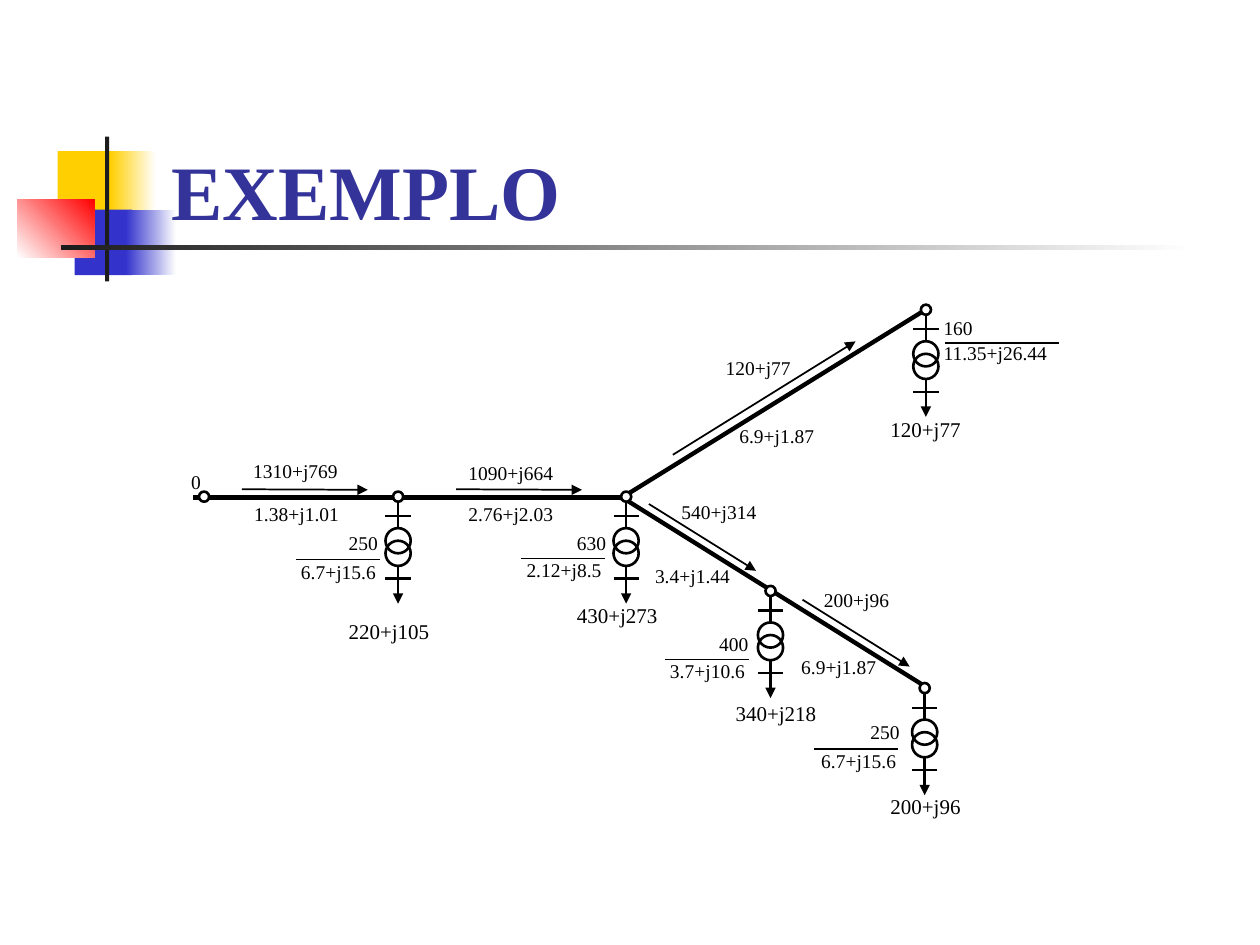
from dataclasses import dataclass

from lxml import etree
from pptx import Presentation
from pptx.dml.color import RGBColor
from pptx.enum import shapes, text
from pptx.oxml import ns
from pptx.util import Pt


@dataclass(frozen=True)
class Theme:
    font: str = "Times New Roman"
    ink: str = "000000"
    paper: str = "FFFFFF"
    title: str = "333399"
    yellow: str = "FFCF01"
    blue: str = "3333CC"
    red: str = "FF0000"
    bar: str = "1C1C1C"
    title_size: float = 44
    label_size: float = 11.1
    load_size: float = 12


theme = Theme()


def add_line(parent, x1, y1, x2, y2, width, arrow=False):
    c = parent.shapes.add_connector(shapes.MSO_CONNECTOR.STRAIGHT, Pt(x1), Pt(y1), Pt(x2), Pt(y2))
    c.line.color.rgb = RGBColor.from_string(theme.ink)
    c.line.width = Pt(width)
    pr = c._element.spPr
    if arrow:
        etree.SubElement(pr.find(ns.qn("a:ln")), ns.qn("a:tailEnd"), type="triangle")
    etree.SubElement(pr, ns.qn("a:effectLst"))


def add_circle(parent, cx, cy, diameter, filled=True):
    sp = parent.shapes.add_shape(shapes.MSO_SHAPE.OVAL, Pt(cx - diameter / 2), Pt(cy - diameter / 2),
                                 Pt(diameter), Pt(diameter))
    sp.shadow.inherit = False
    sp.line.color.rgb = RGBColor.from_string(theme.ink)
    sp.line.width = Pt(1.5)
    if filled:
        sp.fill.solid()
        sp.fill.fore_color.rgb = RGBColor.from_string(theme.paper)
    else:
        sp.fill.background()


prs = Presentation()
prs.slide_width, prs.slide_height = Pt(720), Pt(540)
s = prs.slides.add_slide(prs.slide_layouts[5])

decorations = [
    (33, 86.4, 34.6, 37.4, theme.yellow, theme.yellow, 0),
    (63, 86.4, 26, 37.4, theme.yellow, theme.paper, 0),
    (42.6, 119.8, 33, 37.4, theme.blue, theme.blue, 0),
    (72, 119.8, 28.8, 37.4, theme.blue, theme.paper, 0),
    (10, 113.8, 44, 33.4, theme.paper, theme.red, 45),
    (60, 78, 2.4, 82.8, theme.bar, theme.bar, 0),
    (34.8, 140.2, 648, 2.4, theme.bar, theme.paper, 0),
]
for x, y, w, h, start, end, angle in decorations:
    sp = s.shapes.add_shape(shapes.MSO_SHAPE.RECTANGLE, Pt(x), Pt(y), Pt(w), Pt(h))
    sp.shadow.inherit = False
    sp.line.fill.background()
    if start == end:
        sp.fill.solid()
        sp.fill.fore_color.rgb = RGBColor.from_string(start)
    else:
        sp.fill.gradient()
        sp.fill.gradient_angle = angle
        for stop, color, position in zip(sp.fill.gradient_stops, (start, end), (0, 1)):
            stop.color.rgb = RGBColor.from_string(color)
            stop.position = position

title = s.shapes.title
title.left, title.top, title.width, title.height = Pt(90.7), Pt(48.2), Pt(613.4), Pt(90)
tf = title.text_frame
tf.text = "EXEMPLO"
tf.auto_size = text.MSO_AUTO_SIZE.NONE
tf.vertical_anchor = text.MSO_ANCHOR.BOTTOM
p = tf.paragraphs[0]
p.alignment = text.PP_ALIGN.LEFT
r = p.runs[0]
r.font.name, r.font.size, r.font.bold = theme.font, Pt(theme.title_size), True
r.font.color.rgb = RGBColor.from_string(theme.title)
s.shapes._spTree.append(title._element)

feeders = [
    (110.2, 284.4, 355, 284.4),
    (354.2, 285.1, 526.3, 178.6),
    (355.7, 284.4, 527.8, 391.7),
]
for feeder in feeders:
    add_line(s, *feeder, 2.5)

source = (116.6, 283.8)
loads = [(227.5, 283.8), (357.8, 283.8), (529.1, 177), (528.4, 393.2), (440.3, 337.7)]
for x, y in [source] + loads:
    add_circle(s, x, y, 5.8)

for x, y in loads:
    transformer = s.shapes.add_group_shape()
    add_line(transformer, x, y + 3.6, x, y + 18, 1.5)
    add_line(transformer, x, y + 39.6, x, y + 61.2, 1.5, arrow=True)
    add_circle(transformer, x, y + 25.2, 14.4)
    add_circle(transformer, x, y + 32.4, 14.4, filled=False)
    for dy in (46.8, 11.2):
        add_line(transformer, x - 7.2, y + dy, x + 7.2, y + dy, 1.25)

flows = [
    (384.5, 259.9, 488.9, 195.1),
    (138.2, 279.6, 210.2, 279.9),
    (260.6, 279.6, 332.6, 279.9),
    (370.8, 288, 432, 326.2),
    (458.6, 342.7, 519.8, 380.9),
]
for flow in flows:
    add_line(s, *flow, 1, arrow=True)

labels = [
    ("0", 102.2, 266.4, 21.6),
    ("1310+j769", 137.5, 260.2, 70.6),
    ("1090+j664", 260.6, 261.4, 70.6),
    ("120+j77", 407.5, 201.6, 70.6),
    ("540+j314", 382.3, 283.7, 70.6),
    ("200+j96", 463.7, 334.1, 70.6),
    ("1.38+j1.01", 138.2, 285.1, 70.6),
    ("2.76+j2.03", 260.6, 285.1, 70.6),
    ("6.9+j1.87", 415.4, 240.5, 70.6),
    ("3.4+j1.44", 367.2, 320.4, 70.6),
    ("6.9+j1.87", 450.7, 372.2, 70.6),
    ("250", 192.2, 301.7, 36),
    ("630", 322.6, 301.7, 36),
    ("400", 403.9, 359.3, 36),
    ("250", 490.3, 409.7, 36),
    ("160", 532.1, 178.6, 36),
    ("6.7+j15.6", 164.9, 318.2, 67),
    ("2.12+j8.5", 293.8, 316.8, 67),
    ("3.7+j10.6", 375.8, 374.4, 67),
    ("6.7+j15.6", 462.2, 426.2, 83.5),
    ("11.35+j26.44", 532.1, 193, 83.5),
]
load_labels = [
    ("220+j105", 192.2, 349.9, 74.2),
    ("430+j273", 322.6, 340.6, 74.2),
    ("340+j218", 413.3, 396.7, 74.2),
    ("120+j77", 501.8, 234.7, 75),
    ("200+j96", 501.8, 450, 75),
]
styles = [(labels, 21.6, theme.label_size, 0.9), (load_labels, 43.2, theme.load_size, 1.0)]
for items, height, size, spacing in styles:
    for caption, x, y, w in items:
        tf = s.shapes.add_textbox(Pt(x), Pt(y), Pt(w), Pt(height)).text_frame
        tf.word_wrap = True
        tf.text = caption
        p = tf.paragraphs[0]
        p.line_spacing = spacing
        r = p.runs[0]
        r.font.name, r.font.size = theme.font, Pt(size)
        r.font.color.rgb = RGBColor.from_string(theme.ink)

fraction_bars = [
    (169, 319.9, 48),
    (298, 319, 48),
    (380, 377, 48),
    (465, 428, 48),
    (540, 196, 65),
]
for x, y, length in fraction_bars:
    add_line(s, x + length, y, x, y, 0.75)

prs.save("out.pptx")
